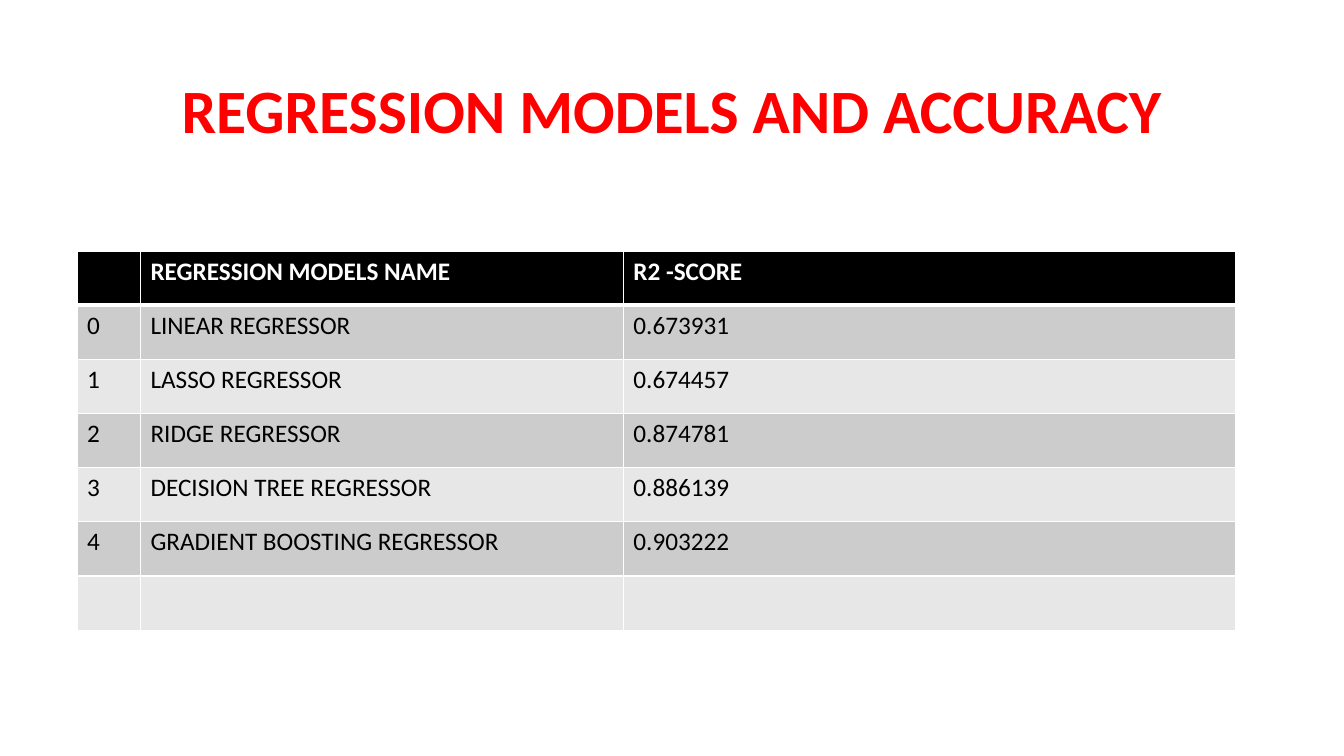
from lxml import etree
from pptx import Presentation
from pptx.dml.color import RGBColor
from pptx.enum.text import MSO_ANCHOR, PP_ALIGN
from pptx.oxml.ns import qn
from pptx.util import Cm, Pt

CENTER = PP_ALIGN.CENTER
MIDDLE = MSO_ANCHOR.MIDDLE
RED = RGBColor(0xFF, 0x00, 0x00)
BLACK = RGBColor(0x00, 0x00, 0x00)
WHITE = RGBColor(0xFF, 0xFF, 0xFF)
DARK_BAND = RGBColor(0xCC, 0xCC, 0xCC)
LIGHT_BAND = RGBColor(0xE7, 0xE7, 0xE7)
FONT = "Calibri"

ROWS = [
    ("", "REGRESSION MODELS NAME", "R2 -SCORE"),
    ("0", "LINEAR REGRESSOR", "0.673931"),
    ("1", "LASSO REGRESSOR", "0.674457"),
    ("2", "RIDGE REGRESSOR", "0.874781"),
    ("3", "DECISION TREE REGRESSOR", "0.886139"),
    ("4", "GRADIENT BOOSTING REGRESSOR", "0.903222"),
    ("", "", ""),
]
COLUMN_WIDTHS = [Cm(1.6), Cm(12.17), Cm(15.44)]
TABLE_HEIGHT = Cm(9.55)


def style_runs(paragraph, size, color, bold):
    for run in paragraph.runs:
        run.font.name = FONT
        run.font.size = Pt(size)
        run.font.bold = bold
        run.font.color.rgb = color


def add_border(cell, side, width):
    properties = cell._tc.get_or_add_tcPr()
    line = etree.SubElement(properties, qn(f"a:ln{side}"), w=str(Pt(width)))
    fill = etree.SubElement(line, qn("a:solidFill"))
    etree.SubElement(fill, qn("a:srgbClr"), val=str(WHITE))


presentation = Presentation()
presentation.slide_width = Cm(33.87)
presentation.slide_height = Cm(19.05)
slide = presentation.slides.add_slide(presentation.slide_layouts[5])

title = slide.shapes.title
title.left, title.top = Cm(2.33), Cm(1.01)
title.width, title.height = Cm(29.21), Cm(3.68)
title.text_frame.text = "REGRESSION MODELS AND ACCURACY"
title.text_frame.vertical_anchor = MIDDLE
title_paragraph = title.text_frame.paragraphs[0]
title_paragraph.alignment = CENTER
title_paragraph.line_spacing = 0.9
style_runs(title_paragraph, 44, RED, True)

table = slide.shapes.add_table(
    len(ROWS), len(COLUMN_WIDTHS), Cm(1.94), Cm(6.33), sum(COLUMN_WIDTHS), TABLE_HEIGHT
).table
for column, width in zip(table.columns, COLUMN_WIDTHS):
    column.width = width

for row_index, values in enumerate(ROWS):
    is_header = row_index == 0
    band = DARK_BAND if row_index % 2 else LIGHT_BAND
    border_widths = {
        "L": 1,
        "R": 1,
        "T": 3 if row_index == 1 else 1,
        "B": 3 if is_header else 1,
    }
    for column_index, value in enumerate(values):
        cell = table.cell(row_index, column_index)
        cell.text_frame.text = value
        style_runs(cell.text_frame.paragraphs[0], 18, WHITE if is_header else BLACK, is_header)
        for side, width in border_widths.items():
            add_border(cell, side, width)
        cell.fill.solid()
        cell.fill.fore_color.rgb = BLACK if is_header else band

presentation.save("out.pptx")
